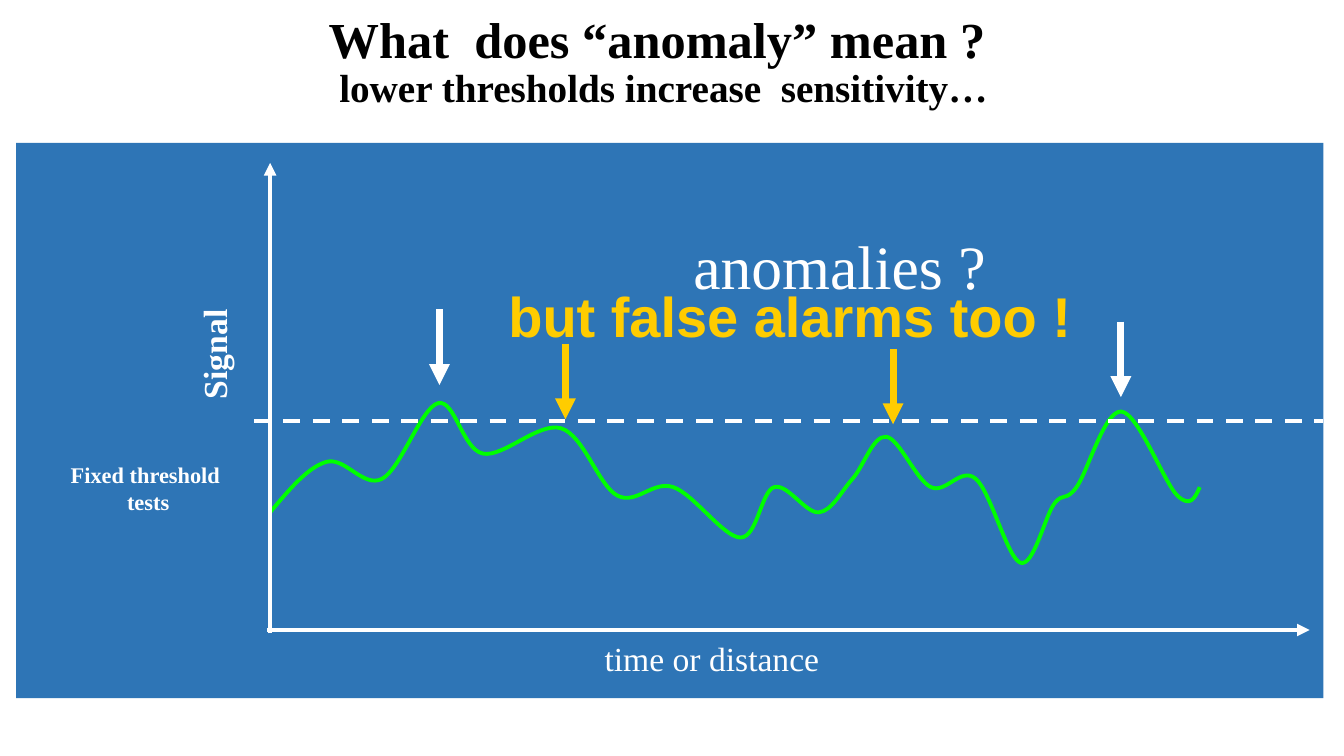
from lxml.etree import SubElement
from pptx import Presentation
from pptx.dml.color import RGBColor
from pptx.enum.dml import MSO_LINE
from pptx.enum.shapes import MSO_CONNECTOR as CONN, MSO_SHAPE as SHAPE
from pptx.enum.text import MSO_ANCHOR as ANCHOR, MSO_AUTO_SIZE as AUTO, PP_ALIGN as ALIGN
from pptx.oxml.ns import qn
from pptx.util import Inches, Pt

WHITE = RGBColor(0xFF, 0xFF, 0xFF)
BLACK = RGBColor(0, 0, 0)
BLUE = RGBColor(0x2E, 0x75, 0xB6)
GREEN = RGBColor(0, 0xFF, 0)
AMBER = RGBColor(0xFF, 0xCC, 0)
SERIF, SANS = "Times New Roman", "Arial"

W, H = Inches(13.33), Inches(7.5)
COL, ROW = W / 120, H / 90
TITLE_BOX = (1, -0.36, 116.46, 15.72)
PANEL_BOX = (1.44, 17, 116.73, 66.12)

AXIS_COL, BASE_ROW, THRESHOLD_ROW, ARROW_ROWS = 22.68, 58, 33.16, 9
SIGNAL = [(0, 44), (5, 38), (10, 40), (15, 31), (19, 37), (26, 34), (31, 42),
          (36, 41), (42, 47), (45, 41), (49, 44), (52, 40), (55, 35), (59, 41),
          (63, 40), (67, 50), (70, 43), (72, 41), (76, 32), (81, 42), (83, 41)]
ARROWS = [(98.64, 21.28, WHITE), (37.8, 19.84, WHITE),
          (78.3, 24.52, AMBER), (49.05, 23.92, AMBER)]
LABELS = [
    ((51.66, 58.36, 21.15, 6.12), ["time or distance"], dict(size=Pt(24)), {}),
    ((12.33, 22.6, 10.62, 6), [" Signal"], dict(size=Pt(24), bold=True), dict(rotation=270)),
    ((59.58, 9.52, 28.17, 10.08), ["anomalies ?"], dict(size=Pt(44)), {}),
    ((-0.54, 37.36, 24.66, 7.68), ["Fixed threshold ", "tests"],
     dict(size=Pt(16), bold=True), dict(align=ALIGN.CENTER)),
    ((39.96, 15.88, 58.23, 9.84), ["but false alarms too !"],
     dict(size=Pt(40), bold=True, name=SANS, color=AMBER), dict(align=ALIGN.CENTER)),
]


def at(box, col, row):
    return round((box[0] + col) * COL), round((box[1] + row) * ROW)


def set_font(font, color=WHITE, **fmt):
    for key, value in {"name": SERIF, **fmt}.items():
        setattr(font, key, value)
    font.color.rgb = color


def add_label(s, panel, box, lines, font, rotation=0, align=ALIGN.LEFT):
    col, row, cols, rows = box
    tb = s.shapes.add_textbox(*at(panel, col, row), round(cols * COL), round(rows * ROW))
    tb.rotation = rotation
    tf = tb.text_frame
    tf.word_wrap = align == ALIGN.CENTER
    tf.auto_size = AUTO.SHAPE_TO_FIT_TEXT
    tf.text = "\n".join(lines)
    for p in tf.paragraphs:
        p.alignment = align
        for r in p.runs:
            set_font(r.font, **font)


def add_line(s, panel, start, end, color=WHITE, width=3, arrow=True):
    c = s.shapes.add_connector(CONN.STRAIGHT, *at(panel, *start), *at(panel, *end))
    c.line.color.rgb = color
    c.line.width = Pt(width)
    if arrow:
        SubElement(c.line._get_or_add_ln(), qn("a:tailEnd"), type="triangle")
    SubElement(c._element.spPr, qn("a:effectLst"))
    return c


def midpoint(a, b):
    return (a[0] + b[0]) / 2, (a[1] + b[1]) / 2


def curve_controls(knots, i):
    def handle(k, sign):
        before, after = knots[k - 1], knots[k + 1]
        return tuple(knots[k][d] + sign * (after[d] - before[d]) / 6 for d in (0, 1))

    last = len(knots) - 2
    first = handle(i, 1) if i > 0 else midpoint(knots[0], handle(1, -1))
    second = handle(i + 1, -1) if i < last else midpoint(first, knots[-1])
    return first, second, knots[i + 1]


def add_signal(s, panel):
    knots = [at(panel, AXIS_COL + col, row) for col, row in SIGNAL]
    fb = s.shapes.build_freeform(*knots[0])
    fb.add_line_segments(knots[1:], close=False)
    sp = fb.convert_to_shape()
    sp.shadow.inherit = False
    sp.fill.background()
    sp.line.color.rgb = GREEN
    sp.line.width = Pt(2.75)
    for i, segment in enumerate(list(sp._element.iter(qn("a:lnTo")))):
        curve = segment.makeelement(qn("a:cubicBezTo"))
        for x, y in curve_controls(knots, i):
            SubElement(curve, qn("a:pt"), x=str(round(x - sp.left)), y=str(round(y - sp.top)))
        segment.getparent().replace(segment, curve)


def draw_panel(s, panel):
    cols, rows = panel[2:]
    sp = s.shapes.add_shape(SHAPE.RECTANGLE, *at(panel, 0, 0), round(cols * COL), round(rows * ROW))
    sp.shadow.inherit = False
    sp.fill.solid()
    sp.fill.fore_color.rgb = BLUE
    sp.line.fill.background()
    add_line(s, panel, (22.4, BASE_ROW), (115.5, BASE_ROW))
    add_signal(s, panel)
    add_line(s, panel, (AXIS_COL, 58.4), (AXIS_COL, 2.4))
    threshold = add_line(s, panel, (21.24, THRESHOLD_ROW), (cols, THRESHOLD_ROW), arrow=False)
    threshold.line.dash_style = MSO_LINE.DASH
    for box, lines, font, layout in LABELS:
        add_label(s, panel, box, lines, font, **layout)
    for col, row, color in ARROWS:
        add_line(s, panel, (col, row), (col, row + ARROW_ROWS), color, 5)


def draw_title(s, box):
    title = s.shapes.title
    title.left, title.top = at(box, 0, 0)
    title.width, title.height = round(box[2] * COL), round(box[3] * ROW)
    tf = title.text_frame
    for key, value in dict(word_wrap=True, auto_size=AUTO.NONE, vertical_anchor=ANCHOR.MIDDLE).items():
        setattr(tf, key, value)
    p = tf.paragraphs[0]
    p.alignment, p.line_spacing = ALIGN.CENTER, 0.9
    p.text = "What  does “anomaly” mean ? \vlower thresholds increase  sensitivity…"
    for r, size in zip(p.runs, (36, 28)):
        set_font(r.font, BLACK, size=Pt(size), bold=True)


def main():
    prs = Presentation()
    prs.slide_width, prs.slide_height = W, H
    s = prs.slides.add_slide(prs.slide_layouts[5])
    draw_title(s, TITLE_BOX)
    draw_panel(s, PANEL_BOX)
    prs.save("out.pptx")


if __name__ == "__main__":
    main()
